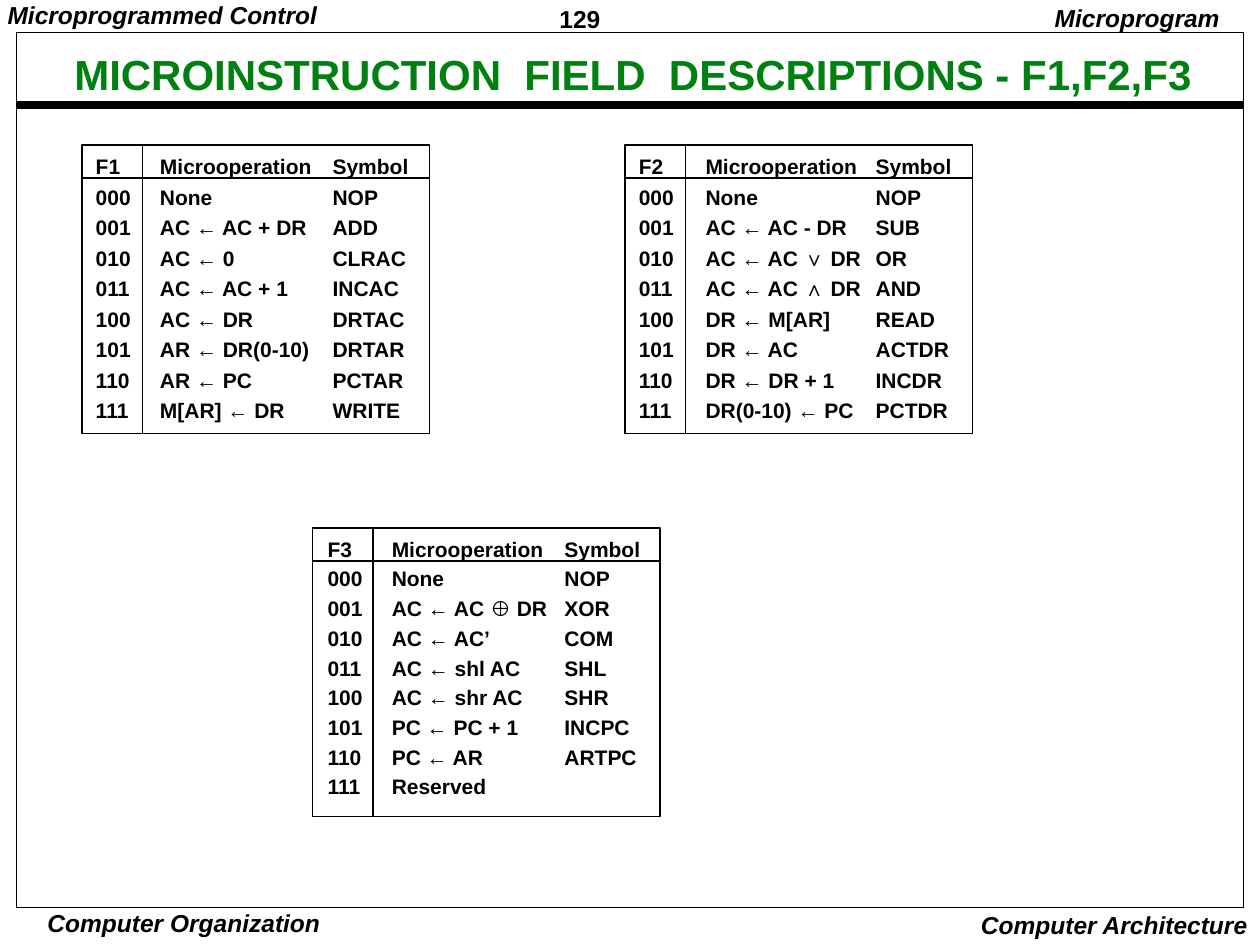
from dataclasses import dataclass

from lxml import etree
from pptx import Presentation
from pptx.dml.color import RGBColor
from pptx.enum.shapes import MSO_CONNECTOR, MSO_SHAPE
from pptx.enum.text import MSO_ANCHOR, MSO_AUTO_SIZE, PP_ALIGN
from pptx.oxml.ns import qn
from pptx.util import Inches, Pt

LEFT, CENTER, RIGHT = PP_ALIGN.LEFT, PP_ALIGN.CENTER, PP_ALIGN.RIGHT
STRAIGHT = MSO_CONNECTOR.STRAIGHT
RECTANGLE = MSO_SHAPE.RECTANGLE
FIT_SHAPE, FIXED = MSO_AUTO_SIZE.SHAPE_TO_FIT_TEXT, MSO_AUTO_SIZE.NONE
MIDDLE = MSO_ANCHOR.MIDDLE


@dataclass(frozen=True)
class Theme:
    font: str = "Arial"
    ink: RGBColor = RGBColor(0x00, 0x00, 0x00)
    title: RGBColor = RGBColor(0x00, 0x80, 0x11)
    title_size: int = 24
    label_size: int = 14
    row_size: int = 12
    bar: float = 4.5
    rule: float = 1
    frame: float = 0.5


THEME = Theme()


@dataclass(frozen=True)
class Label:
    text: str
    left: float
    top: float
    width: float
    height: float
    align: PP_ALIGN = LEFT
    inset: tuple[float, float] = (0.07, 0.03)
    spacing: float = 1.0
    italic: bool = True


@dataclass(frozen=True)
class FieldTable:
    name: str
    left: float
    top: float
    text_left: float
    text_width: float
    operation_tab: float
    spacing: float
    rows: list[tuple[str, str]]


LABELS = [
    Label("129", 4.37, 0, 1.08, 0.29, spacing=1.01, italic=False),
    Label("Computer Organization", 0.26, 7.2, 2.4, 0.26, CENTER, (0.03, 0.01)),
    Label("Computer Architecture", 7.68, 7.17, 2.32, 0.33, RIGHT, (0.1, 0.05)),
    Label("Microprogram ", 8.22, 0, 1.56, 0.31, RIGHT, (0.1, 0.05), 0.9),
    Label("Microprogrammed Control", -0.01, 0, 2.6, 0.27, spacing=0.9),
]

# Rows are in order of their three-bit code
TABLES = [
    FieldTable("F1", 0.65, 1.15, 0.69, 3, 0.51, 1.21, [
        ("None", "NOP"), ("AC ← AC + DR", "ADD"), ("AC ← 0", "CLRAC"),
        ("AC ← AC + 1", "INCAC"), ("AC ← DR", "DRTAC"),
        ("AR ← DR(0-10)", "DRTAR"), ("AR ← PC", "PCTAR"),
        ("M[AR] ← DR", "WRITE")]),
    FieldTable("F2", 4.96, 1.15, 5, 3.94, 0.53, 1.21, [
        ("None", "NOP"), ("AC ← AC - DR", "SUB"), ("AC ← AC ∨ DR", "OR"),
        ("AC ← AC ∧ DR", "AND"), ("DR ← M[AR]", "READ"), ("DR ← AC", "ACTDR"),
        ("DR ← DR + 1", "INCDR"), ("DR(0-10) ← PC", "PCTDR")]),
    FieldTable("F3", 2.48, 4.19, 2.53, 4.44, 0.51, 1.18, [
        ("None", "NOP"), ("AC ← AC ⊕ DR", "XOR"), ("AC ← AC’", "COM"),
        ("AC ← shl AC", "SHL"), ("AC ← shr AC", "SHR"),
        ("PC ← PC + 1", "INCPC"), ("PC ← AR", "ARTPC"), ("Reserved", "")]),
]
TABLE_WIDTH, TABLE_HEIGHT = 2.76, 2.29
HEADER_HEIGHT, CODE_WIDTH = 0.26, 0.48
SYMBOL_TAB = 1.88


def set_insets(tf, x: float, y: float) -> None:
    tf.margin_left = tf.margin_right = Inches(x)
    tf.margin_top = tf.margin_bottom = Inches(y)


def style(p, size: int, color: RGBColor, italic: bool = False) -> None:
    for r in p.runs:
        r.font.name = THEME.font
        r.font.size = Pt(size)
        r.font.bold = True
        r.font.italic = italic
        r.font.color.rgb = color


def add_tabs(p, stops: list[float]) -> None:
    tabs = etree.SubElement(p._p.get_or_add_pPr(), qn("a:tabLst"))
    for stop in stops:
        etree.SubElement(tabs, qn("a:tab"), pos=str(Inches(stop)), algn="l")


def add_line(s, x1: float, y1: float, x2: float, y2: float, width: float) -> None:
    line = s.shapes.add_connector(
        STRAIGHT, Inches(x1), Inches(y1), Inches(x2), Inches(y2))
    line.line.color.rgb = THEME.ink
    line.line.width = Pt(width)
    etree.SubElement(line._element.spPr, qn("a:effectLst"))


def add_outline(s, left: float, top: float, width: float, height: float,
                line_width: float) -> None:
    sp = s.shapes.add_shape(
        RECTANGLE, Inches(left), Inches(top), Inches(width), Inches(height))
    sp.shadow.inherit = False
    sp.fill.background()
    sp.line.color.rgb = THEME.ink
    sp.line.width = Pt(line_width)


def add_label(s, label: Label) -> None:
    sp = s.shapes.add_textbox(Inches(label.left), Inches(label.top),
                              Inches(label.width), Inches(label.height))
    tf = sp.text_frame
    tf.text = label.text
    tf.word_wrap = False
    tf.auto_size = FIT_SHAPE
    set_insets(tf, *label.inset)
    p = tf.paragraphs[0]
    p.alignment = label.align
    p.line_spacing = label.spacing
    style(p, THEME.label_size, THEME.ink, label.italic)


def add_field_table(s, table: FieldTable) -> None:
    left, top = table.left, table.top

    # Tabbed rows
    sp = s.shapes.add_textbox(Inches(table.text_left), Inches(top),
                              Inches(table.text_width), Inches(2.23))
    tf = sp.text_frame
    lines = [f"{table.name}\tMicrooperation\tSymbol"]
    for code, (operation, symbol) in enumerate(table.rows):
        lines.append(f"{code:03b}\t{operation}" + (f"\t{symbol}" if symbol else ""))
    tf.text = "\n".join(lines)
    tf.word_wrap = True
    tf.auto_size = FIT_SHAPE
    set_insets(tf, 0.07, 0.03)
    for p in tf.paragraphs:
        add_tabs(p, [table.operation_tab, SYMBOL_TAB])
        p.line_spacing = table.spacing
        style(p, THEME.row_size, THEME.ink)

    # Outline, header rule and code column rule
    add_outline(s, left, top, TABLE_WIDTH, TABLE_HEIGHT, THEME.rule)
    rule_y, rule_x = top + HEADER_HEIGHT, left + CODE_WIDTH
    add_line(s, left, rule_y, left + TABLE_WIDTH, rule_y, THEME.rule)
    add_line(s, rule_x, top, rule_x, top + TABLE_HEIGHT, THEME.rule)


def add_title(s, text: str) -> None:
    sp = s.shapes.title
    sp.left, sp.top = Inches(0.38), Inches(0.38)
    sp.width, sp.height = Inches(9.29), Inches(0.46)
    tf = sp.text_frame
    tf.text = text
    tf.word_wrap = True
    tf.auto_size = FIXED
    tf.vertical_anchor = MIDDLE
    set_insets(tf, 0.1, 0.05)
    p = tf.paragraphs[0]
    p.alignment = CENTER
    p.line_spacing = 0.9
    style(p, THEME.title_size, THEME.title)


def main() -> None:
    prs = Presentation()
    prs.slide_width, prs.slide_height = Inches(10), Inches(7.5)
    s = prs.slides.add_slide(prs.slide_layouts[5])

    # Page frame and title
    add_line(s, 0.13, 0.83, 9.87, 0.83, THEME.bar)
    add_outline(s, 0.13, 0.26, 9.74, 6.94, THEME.frame)
    add_title(s, "MICROINSTRUCTION  FIELD  DESCRIPTIONS - F1,F2,F3")

    # Running heads, feet and page number
    for label in LABELS:
        add_label(s, label)

    # Field tables
    for table in TABLES:
        add_field_table(s, table)

    prs.save("out.pptx")


if __name__ == "__main__":
    main()
